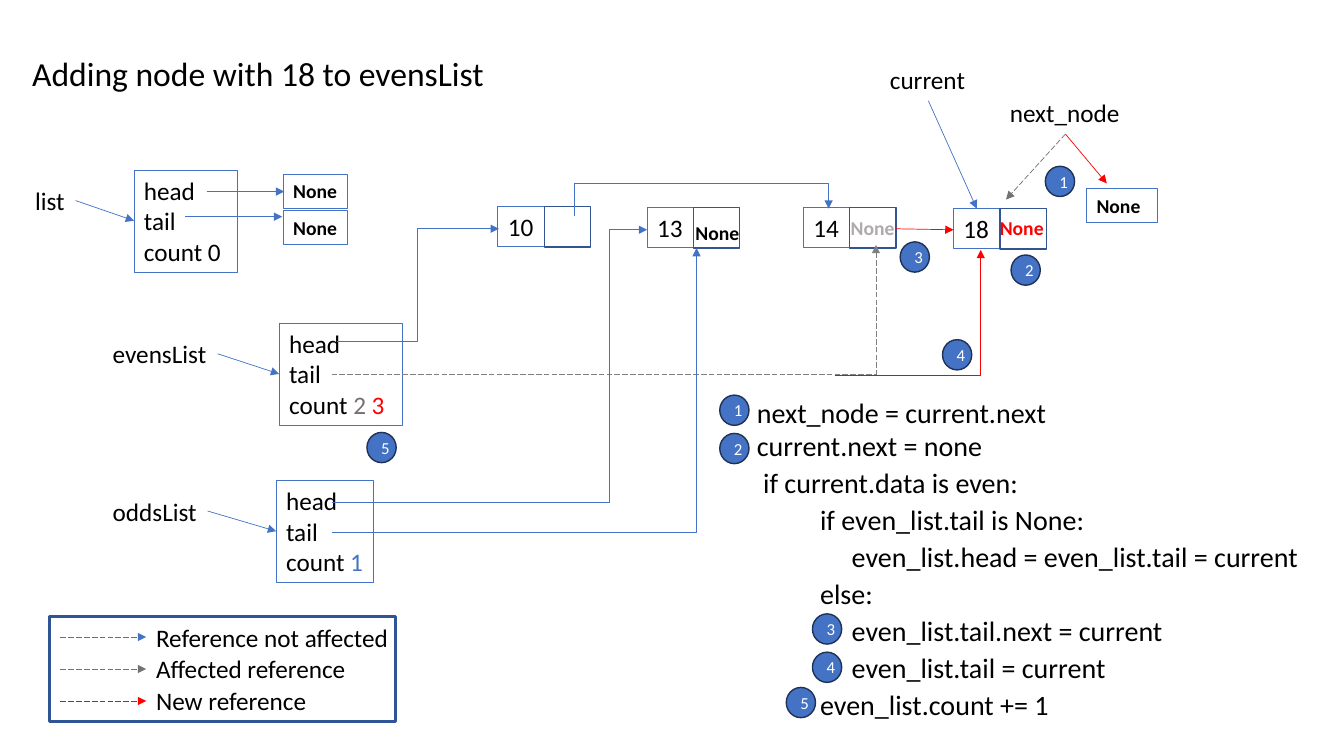
from lxml import etree
from pptx import Presentation
from pptx import util as u
from pptx.dml.color import RGBColor
from pptx.enum import dml, shapes, text
from pptx.oxml.ns import qn

# Grid: one column or row is a tenth of an inch
CELL = u.Inches(0.1)
COLUMNS, ROWS = 133.33, 75

BLUE, NAVY, RED = "4472C4", "325491", "FF0000"
GREY, DASH_GREY, PALE = "767171", "808080", "AFABAB"
BLACK, WHITE = "000000", "FFFFFF"
NODE_WIDTH, NODE_HEIGHT = 4.6, 4.0
LABEL_HEIGHT, NONE_HEIGHT, RECORD_HEIGHT = 4.0, 3.4, 10.1

CODE = [
    "next_node = current.next",
    "current.next = none",
    " if current.data is even:",
    "          if even_list.tail is None:",
    "               even_list.head = even_list.tail = current",
    "          else:",
    "               even_list.tail.next = current",
    "               even_list.tail = current",
    "          even_list.count += 1",
]


def grid(*cells):
    return [int(cell * CELL) for cell in cells]


def color(value):
    return RGBColor.from_string(value)


def apply(target, values):
    for name, value in values.items():
        setattr(target, name, value)


def write(shape, lines, size=18, ink=BLACK, bold=False, wrap=False,
          align=text.PP_ALIGN.LEFT, anchor=text.MSO_ANCHOR.TOP,
          fit=text.MSO_AUTO_SIZE.SHAPE_TO_FIT_TEXT):
    """Each line is a string or a list of (string, colour) runs."""
    frame = shape.text_frame
    apply(frame, {"word_wrap": wrap, "auto_size": fit, "vertical_anchor": anchor})
    for index, line in enumerate(lines):
        paragraph = frame.paragraphs[0] if index == 0 else frame.add_paragraph()
        paragraph.alignment = align
        for words, run_ink in [(line, ink)] if isinstance(line, str) else line:
            run = paragraph.add_run()
            run.text = words
            apply(run.font, {"name": "Calibri", "size": u.Pt(size), "bold": bold})
            run.font.color.rgb = color(run_ink)
    return frame


def label(slide, place, lines, **format_values):
    return write(slide.shapes.add_textbox(*grid(*place)), lines, **format_values)


def box(slide, place, outline=BLUE, width=0.75, fill=None,
        preset=shapes.MSO_SHAPE.RECTANGLE):
    shape = slide.shapes.add_shape(preset, *grid(*place))
    shape.shadow.inherit = False
    if fill:
        shape.fill.solid()
        shape.fill.fore_color.rgb = color(fill)
    else:
        shape.fill.background()
    shape.line.color.rgb = color(outline)
    shape.line.width = u.Pt(width)
    return shape


def node(slide, column, row, value):
    write(box(slide, (column, row, NODE_WIDTH, NODE_HEIGHT)), [value])
    box(slide, (column + NODE_WIDTH, row, NODE_WIDTH, NODE_HEIGHT), NAVY, 1)


def none_box(slide, column, row, width):
    shape = box(slide, (column, row, width, NONE_HEIGHT))
    write(shape, ["None"], size=14, bold=True, wrap=True)


def badge(slide, column, row, number):
    shape = box(slide, (column, row, 2.9, 3), "1E3256", 1, BLUE,
                shapes.MSO_SHAPE.OVAL)
    write(shape, [number], size=12, ink=WHITE, wrap=True,
          align=text.PP_ALIGN.CENTER, anchor=text.MSO_ANCHOR.MIDDLE,
          fit=text.MSO_AUTO_SIZE.NONE)


def arrow(slide, start, end, ink=BLUE, dashed=False,
          kind=shapes.MSO_CONNECTOR.STRAIGHT):
    connector = slide.shapes.add_connector(kind, *grid(*start, *end))
    connector.line.color.rgb = color(ink)
    connector.line.width = u.Pt(0.5)
    if dashed:
        connector.line.dash_style = dml.MSO_LINE.LONG_DASH
    properties = connector._element.spPr
    outline = properties.find(qn("a:ln"))
    etree.SubElement(outline, qn("a:tailEnd"), type="triangle")
    etree.SubElement(properties, qn("a:effectLst"))
    return properties


def elbow(slide, start, end, ink=BLUE, dashed=False, bends=2, share=None,
          upright=False):
    """Bent arrow; share places the middle leg, upright leaves vertically."""
    if upright:
        middle = [(a + b) / 2 for a, b in zip(start, end)]
        start, end = [(middle[0] + y - middle[1], middle[1] - x + middle[0])
                      for x, y in (start, end)]
    properties = arrow(slide, start, end, ink, dashed, shapes.MSO_CONNECTOR.ELBOW)
    if upright:
        properties.find(qn("a:xfrm")).set("rot", "5400000")
    geometry = properties.find(qn("a:prstGeom"))
    geometry.set("prst", f"bentConnector{bends + 1}")
    if share is not None:
        guides = geometry.find(qn("a:avLst"))
        etree.SubElement(guides, qn("a:gd"), name="adj1",
                         fmla=f"val {round(share * 100000)}")


def record(slide, column, row, width, count, name, name_place):
    """A list object with its name and the arrow between them."""
    name_column, name_width = name_place
    label(slide, (name_column, row + 1, name_width, LABEL_HEIGHT), [name])
    write(box(slide, (column, row, width, RECORD_HEIGHT)), ["head", "tail", count])
    arrow(slide, (name_column + name_width, row + 3), (column, row + 5))


def legend(slide):
    box(slide, (4.9, 61.2, 34.3, 10.4), "2F5597", 2.25)
    entries = [("Reference not affected", BLUE, 25.4),
               ("Affected reference", GREY, 21.1), ("New reference", RED, 17.1)]
    for index, (words, ink, width) in enumerate(entries):
        row = 61.2 + index * 3.17
        label(slide, (14.5, row, width, LABEL_HEIGHT), [words])
        arrow(slide, (6, row + 2), (14.5, row + 2), ink, dashed=True)


def main():
    presentation = Presentation()
    presentation.slide_width, presentation.slide_height = grid(COLUMNS, ROWS)
    slide = presentation.slides.add_slide(presentation.slide_layouts[6])

    # Title and pointer names
    label(slide, (2.2, 4.8, 47.2, 5), ["Adding node with 18 to evensList"], size=24)
    label(slide, (87.3, 5.9, 9.6, LABEL_HEIGHT), ["current"])
    label(slide, (99.2, 9.2, 13, LABEL_HEIGHT), ["next_node"])

    # Chain nodes
    for column, row, value in [(49.4, 20.5, "10"), (64.2, 20.6, "13"),
                               (79.7, 20.6, "14"), (94.6, 20.7, "18")]:
        node(slide, column, row, value)
    for column, row, ink in [(68, 21.4, BLACK), (83.4, 20.9, PALE), (98.2, 20.9, RED)]:
        label(slide, (column, row, 7, NONE_HEIGHT), ["None"],
              size=14, ink=ink, bold=True, wrap=True)
    for place in [(28.1, 17.3, 6.4), (28.1, 20.9, 6.4), (107.8, 18.7, 7)]:
        none_box(slide, *place)

    # List records
    record(slide, 13.3, 16.9, 10.3, "count 0", "list", (2.5, 5))
    record(slide, 27.7, 32.1, 12.2,
           [("count ", BLACK), ("2 ", GREY), ("3", RED)], "evensList", (10.2, 11.4))
    record(slide, 27.4, 47.7, 9.7,
           [("count ", BLACK), ("1", BLUE)], "oddsList", (10.2, 10.4))

    # Straight references
    arrow(slide, (20.5, 19), (28.2, 19))
    arrow(slide, (18.4, 21.5), (28, 21.5))
    arrow(slide, (92.1, 10), (96.9, 20.7))
    arrow(slide, (88.9, 22.7), (94.6, 22.8), RED)
    arrow(slide, (105.7, 13.3), (109.8, 18.2), RED)
    arrow(slide, (105.7, 13.3), (99.8, 19.8), GREY, dashed=True)

    # Bent references
    elbow(slide, (33.4, 33.9), (49.5, 22.7))
    elbow(slide, (32.9, 37.1), (86.9, 24.3), DASH_GREY, dashed=True, bends=1)
    elbow(slide, (32.9, 49.8), (64.2, 22.8), share=0.88)
    elbow(slide, (32.9, 52.8), (69.1, 24.6), bends=1)
    elbow(slide, (57, 21.4), (82.2, 20.7), share=4.63, upright=True)
    elbow(slide, (82.8, 37.2), (97.3, 24.8), RED, bends=1)

    # Code
    code = label(slide, (74.1, 38.7, 56.7, 33.5), CODE, size=20, wrap=True)
    for paragraph in code.paragraphs[2:]:
        paragraph.line_spacing = 1.1

    legend(slide)

    # Step numbers, in the diagram and beside the code
    steps = {"1": [(103.7, 16.5), (71.4, 39.2)], "2": [(100.3, 25.3), (71.4, 43)],
             "3": [(89.3, 24), (80.6, 60.9)], "4": [(93.5, 33.7), (80.6, 64.7)],
             "5": [(36.4, 42.9), (78, 68.2)]}
    for number, places in steps.items():
        for column, row in places:
            badge(slide, column, row, number)

    presentation.save("out.pptx")


if __name__ == "__main__":
    main()
